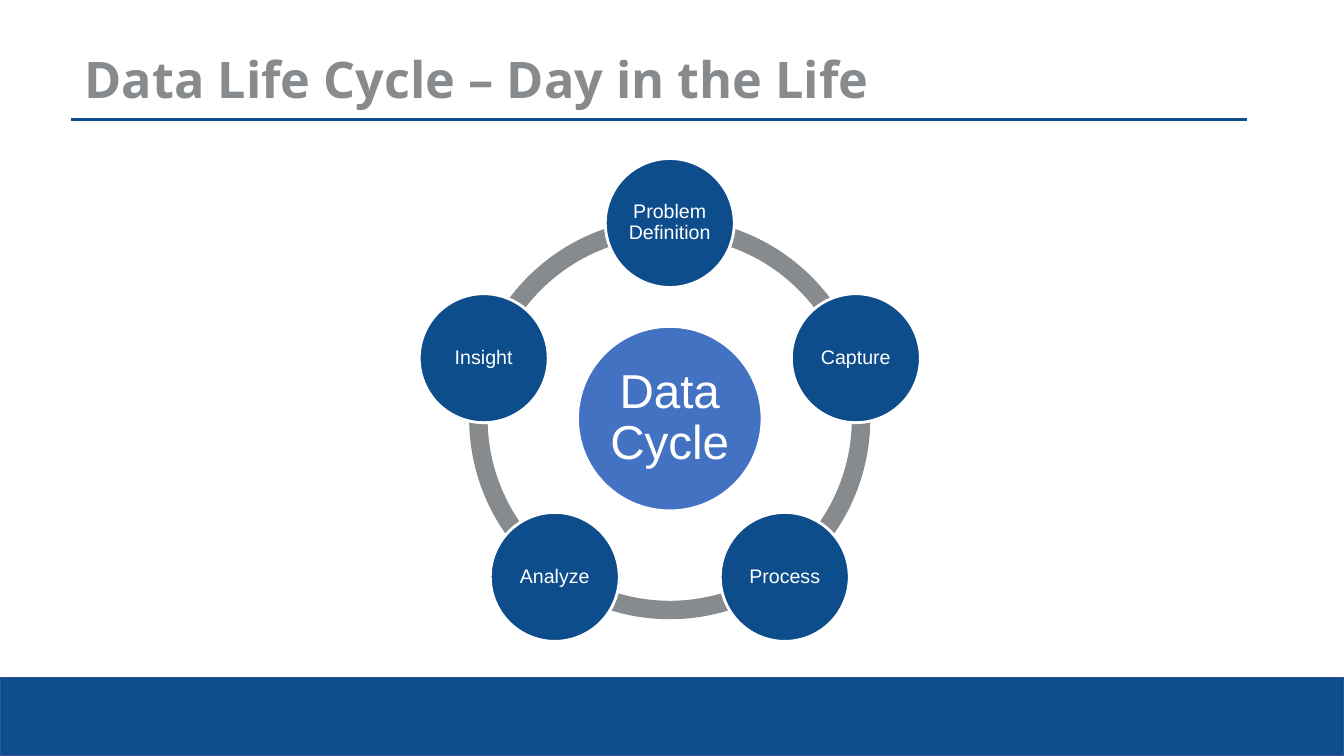
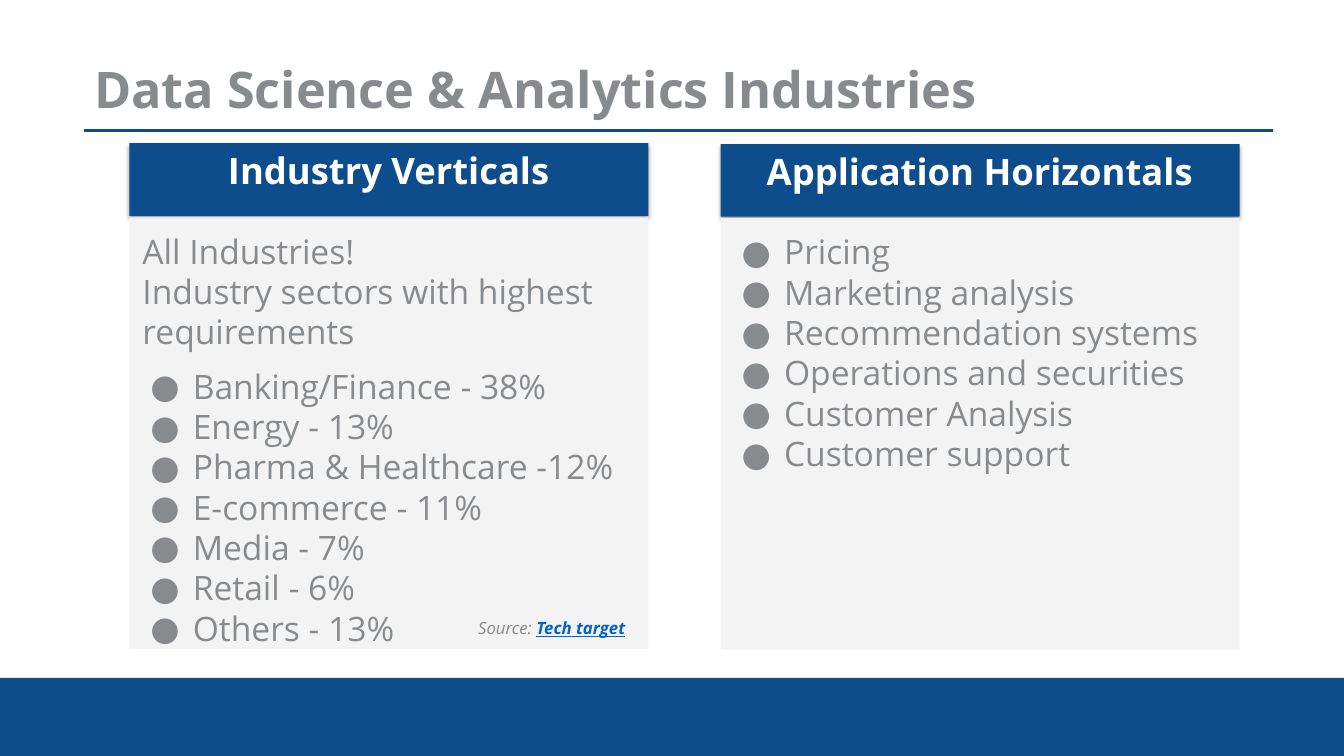
from math import cos, radians, sin

from lxml import etree
from pptx import Presentation
from pptx.dml.color import RGBColor
from pptx.enum.shapes import MSO_CONNECTOR, MSO_SHAPE
from pptx.enum.text import MSO_ANCHOR, MSO_AUTO_SIZE, PP_ALIGN
from pptx.oxml.ns import qn
from pptx.util import Cm, Pt

BLUE = RGBColor(0x0E, 0x4D, 0x8C)
HUB_BLUE = RGBColor(0x43, 0x72, 0xC3)
EDGE_BLUE = RGBColor(0x31, 0x53, 0x8F)
LINK_BLUE = RGBColor(0x05, 0x63, 0xC1)
GRAY = RGBColor(0x88, 0x8B, 0x8D)
PALE = RGBColor(0xF3, 0xF3, 0xF3)
WHITE = RGBColor(0xFF, 0xFF, 0xFF)

HEAD_FONT = "Open Sans"
CYCLE_FONT = "Arial"
RECT, OVAL, ARC = MSO_SHAPE.RECTANGLE, MSO_SHAPE.OVAL, MSO_SHAPE.BLOCK_ARC
LEFT, CENTER = PP_ALIGN.LEFT, PP_ALIGN.CENTER
TOP, MIDDLE = MSO_ANCHOR.TOP, MSO_ANCHOR.MIDDLE

PAGE_W, PAGE_H = 33.87, 19.05
BAND_H = 1.97
TITLE_ONLY = 5


def add_block(page, kind, left, top, width, height, fill, edge=None, edge_pt=1):
    """Add a flat shape; lengths are in centimetres."""
    block = page.shapes.add_shape(kind, Cm(left), Cm(top), Cm(width), Cm(height))
    block.shadow.inherit = False
    block.fill.solid()
    block.fill.fore_color.rgb = fill
    if edge is None:
        block.line.fill.background()
    else:
        block.line.color.rgb = edge
        block.line.width = Pt(edge_pt)
    return block


def set_frame(shape, anchor, insets):
    frame = shape.text_frame
    frame.word_wrap = True
    frame.auto_size = MSO_AUTO_SIZE.NONE
    frame.vertical_anchor = anchor
    (frame.margin_left, frame.margin_top,
     frame.margin_right, frame.margin_bottom) = [Cm(inset) for inset in insets]
    return frame


def style_para(para, size, color, face=HEAD_FONT, align=LEFT, spacing=1.0, bold=False):
    para.alignment = align
    para.line_spacing = spacing
    para.font.name = face
    para.font.size = Pt(size)
    para.font.bold = bold
    para.font.color.rgb = color


def add_bullet(para):
    props = para._p.get_or_add_pPr()
    props.set("marL", str(Cm(1.27)))
    props.set("indent", str(-Cm(1.07)))
    color = etree.SubElement(props, qn("a:buClr"))
    etree.SubElement(color, qn("a:srgbClr"), val=str(GRAY))
    etree.SubElement(props, qn("a:buFont"), typeface=HEAD_FONT)
    etree.SubElement(props, qn("a:buChar"), char="●")


def add_soft_shadow(shape):
    effects = shape._element.spPr.find(qn("a:effectLst"))
    shadow = etree.SubElement(effects, qn("a:outerShdw"), blurRad=str(Pt(3.1)),
                              dist=str(Pt(1.8)), dir="5400000", rotWithShape="0")
    color = etree.SubElement(shadow, qn("a:srgbClr"), val="000000")
    etree.SubElement(color, qn("a:alpha"), val="35000")


def add_page(deck, title, box, rule, band_edge=None):
    """Start a slide with its bottom band, title and title rule."""
    page = deck.slides.add_slide(deck.slide_layouts[TITLE_ONLY])
    add_block(page, RECT, 0, PAGE_H - BAND_H, PAGE_W, BAND_H, BLUE, band_edge)

    heading = page.shapes.title
    heading.left, heading.top, heading.width, heading.height = [Cm(v) for v in box]
    frame = set_frame(heading, TOP, (0.25, 0.13, 0.25, 0.13))
    frame.text = title
    style_para(frame.paragraphs[0], 36, GRAY, bold=True)

    start, end, height = [Cm(v) for v in rule]
    line = page.shapes.add_connector(MSO_CONNECTOR.STRAIGHT, start, height, end, height)
    line.line.color.rgb = BLUE
    line.line.width = Pt(2.25)
    etree.SubElement(line._element.spPr, qn("a:effectLst"))
    return page


def add_disc(page, center_x, center_y, size, fill, text, font_size, inset):
    disc = add_block(page, OVAL, center_x - size / 2, center_y - size / 2,
                     size, size, fill, WHITE, 2)
    frame = set_frame(disc, MIDDLE, [inset] * 4)
    frame.text = text
    style_para(frame.paragraphs[0], font_size, WHITE, CYCLE_FONT, CENTER, 0.9)


def add_cycle(page, center_x, center_y, hub, steps):
    """Draw a ring of steps, clockwise from the top, around a hub."""
    ring, orbit = 10.11, 4.93
    step_angle = 360 / len(steps)
    angles = [(270 + step_angle * i) % 360 for i in range(len(steps))]
    for angle in angles:
        arc = add_block(page, ARC, center_x - ring / 2, center_y - ring / 2,
                        ring, ring, GRAY)
        # Angle adjustments count 60000 per degree, scaled by 100000
        arc.adjustments[0] = angle * 0.6
        arc.adjustments[1] = (angle + step_angle) % 360 * 0.6
        arc.adjustments[2] = 0.046

    add_disc(page, center_x, center_y, 4.65, HUB_BLUE, hub, 34, 0.13)
    for angle, step in zip(angles, steps):
        add_disc(page, center_x + orbit * cos(radians(angle)),
                 center_y + orbit * sin(radians(angle)), 3.25, BLUE, step, 14, 0.05)


def add_panel(page, left, top, title, intro, bullets):
    """Draw a titled panel with optional plain lines above its bullets."""
    width, head_h, body_h, gap = 13.08, 1.83, 10.87, 0.04
    head = add_block(page, RECT, left, top, width, head_h, BLUE)
    add_soft_shadow(head)
    frame = set_frame(head, TOP, (0.46, 0.25, 0.46, 0.25))
    frame.text = title
    style_para(frame.paragraphs[0], 26, WHITE, align=CENTER, spacing=0.9, bold=True)

    body = add_block(page, RECT, left, top + head_h + gap, width, body_h, PALE)
    frame = set_frame(body, TOP, (0.33, 0.33, 0.46, 0.51))
    frame.text = "\n".join(intro + bullets)
    for i, para in enumerate(frame.paragraphs):
        if i >= len(intro):
            add_bullet(para)
        style_para(para, 24, GRAY)
        if intro and i == len(intro):
            para.space_before = Pt(10)


def add_source(page, left, top, label, name):
    box = page.shapes.add_textbox(Cm(left), Cm(top), Cm(4.57), Cm(1.02))
    para = set_frame(box, TOP, [0.25] * 4).paragraphs[0]
    style_para(para, 12, GRAY)
    para.font.italic = True
    para.add_run().text = label
    span = para.add_run()
    span.text = name
    span.font.bold = True
    span.font.underline = True
    span.font.color.rgb = LINK_BLUE


def build_cycle_page(deck):
    page = add_page(deck, "Data Life Cycle – Day in the Life",
                    (1.88, 1.09, 30.3, 1.8), (1.78, 31.43, 3.01), EDGE_BLUE)
    add_cycle(page, 16.88, 10.55, "Data Cycle",
              ["Problem Definition", "Capture", "Process", "Analyze", "Insight"])


def build_industries_page(deck):
    page = add_page(deck, "Data Science & Analytics Industries",
                    (2.12, 1.34, 30.68, 1.8), (2.11, 32.08, 3.28))
    add_panel(page, 3.26, 3.61, "Industry Verticals",
              ["All Industries!", "Industry sectors with highest requirements"],
              ["Banking/Finance - 38%", "Energy - 13%", "Pharma & Healthcare -12%",
               "E-commerce - 11%", "Media - 7%", "Retail - 6%", "Others - 13%"])
    add_panel(page, 18.16, 3.63, "Application Horizontals", [],
              ["Pricing", "Marketing analysis", "Recommendation systems",
               "Operations and securities", "Customer Analysis", "Customer support"])
    add_source(page, 11.8, 15.32, "Source: ", "Tech target")


def main():
    deck = Presentation()
    deck.slide_width, deck.slide_height = Cm(PAGE_W), Cm(PAGE_H)
    build_cycle_page(deck)
    build_industries_page(deck)
    deck.save("out.pptx")


if __name__ == "__main__":
    main()
